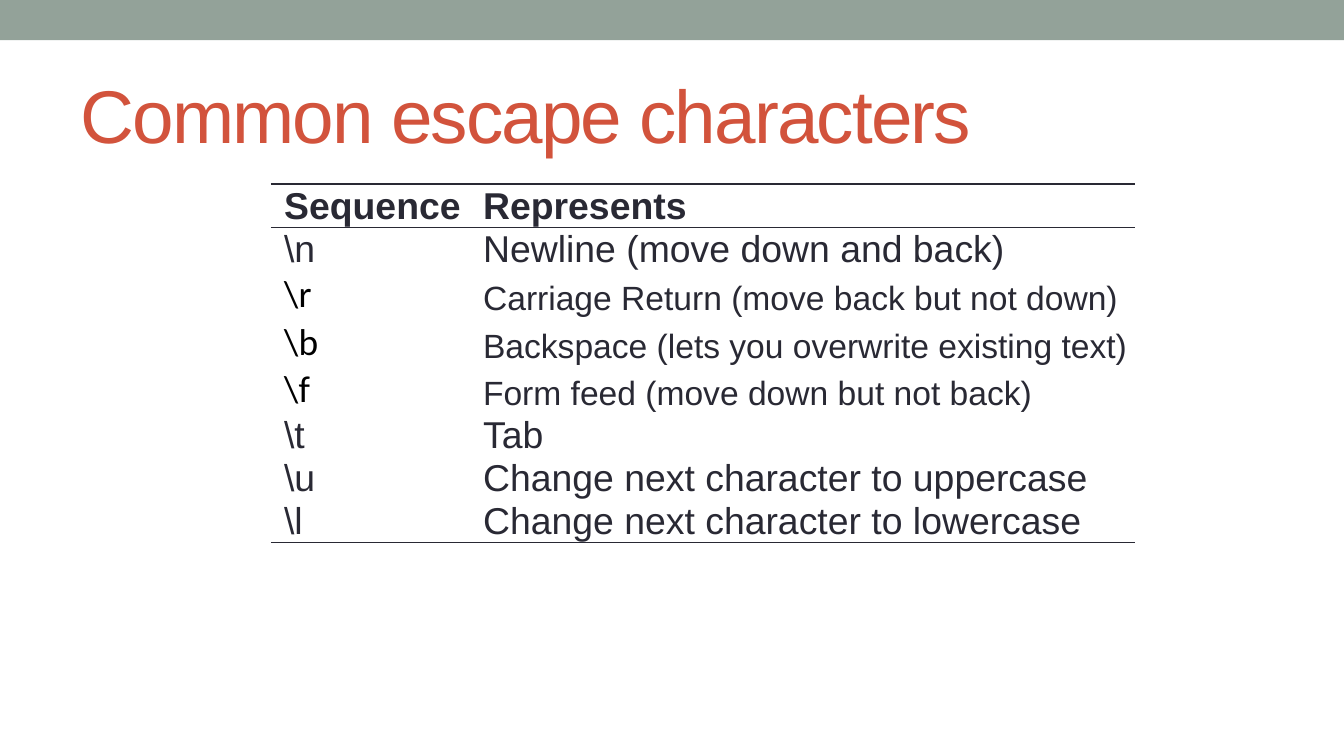
from lxml import etree
from pptx import Presentation
from pptx.dml.color import RGBColor
from pptx.enum import shapes, text
from pptx.oxml import ns
from pptx.util import Cm, Pt

SAGE = RGBColor(0x93, 0xA2, 0x99)
RUST = RGBColor(0xD2, 0x53, 0x3C)
INK = RGBColor(0x29, 0x29, 0x34)
BLACK = RGBColor(0, 0, 0)

NO_STYLE = "{2D5ABB26-0587-4C30-8999-92F81FD0307C}"
HEADINGS = ("Sequence", "Represents")
ESCAPES = [
    (r"\n", "Newline (move down and back)"),
    (r"\r", "Carriage Return (move back but not down)"),
    (r"\b", "Backspace (lets you overwrite existing text)"),
    (r"\f", "Form feed (move down but not back)"),
    (r"\t", "Tab"),
    (r"\u", "Change next character to uppercase"),
    (r"\l", "Change next character to lowercase"),
]
# Sequences set in Calibri, with a smaller description
MINOR = {r"\r", r"\b", r"\f"}


def style(paragraph, size, color, face="Arial", bold=False):
    font = paragraph.font
    font.name, font.size, font.bold = face, Pt(size), bold
    font.color.rgb = color


def add_band(slide, left, top, width, height):
    band = slide.shapes.add_shape(
        shapes.MSO_SHAPE.RECTANGLE, left, top, width, height)
    band.shadow.inherit = False
    band.fill.solid()
    band.fill.fore_color.rgb = SAGE
    band.line.fill.background()


def place_title(slide, left, top, width, height):
    title = slide.shapes.title
    title.left, title.top, title.width, title.height = left, top, width, height
    frame = title.text_frame
    frame.text = "Common escape characters"
    frame.vertical_anchor = text.MSO_ANCHOR.MIDDLE
    heading = frame.paragraphs[0]
    heading.alignment = text.PP_ALIGN.LEFT
    style(heading, 40, RUST)
    # Tighten the letters by one point
    heading.runs[0].font._element.set("spc", "-100")


def rule(cell, edge):
    """Draw a 1 pt border on one edge of a cell: lnT or lnB."""
    line = etree.SubElement(
        cell._tc.get_or_add_tcPr(), ns.qn(f"a:{edge}"), w=str(Pt(1)))
    fill = etree.SubElement(line, ns.qn("a:solidFill"))
    etree.SubElement(fill, ns.qn("a:srgbClr"), val=str(INK))


def fill_cell(cell, words, edges, **look):
    cell.text = words
    cell.vertical_anchor = text.MSO_ANCHOR.BOTTOM
    cell.margin_left, cell.margin_top = Cm(0.25), Cm(0.03)
    cell.margin_right = cell.margin_bottom = 0
    style(cell.text_frame.paragraphs[0], **look)
    for edge in edges:
        rule(cell, edge)
    cell.fill.background()


def add_escape_table(slide, left, top, column_widths, row_height):
    rows = [HEADINGS, *ESCAPES]
    table = slide.shapes.add_table(
        len(rows), len(HEADINGS), left, top,
        sum(column_widths), row_height * len(rows)).table
    table.horz_banding = False
    table._tbl.tblPr.find(ns.qn("a:tableStyleId")).text = NO_STYLE
    for column, width in zip(table.columns, column_widths):
        column.width = width

    for index, (sequence, meaning) in enumerate(rows):
        # Rules above and below the headings, and below the last row
        edges = {0: ("lnT", "lnB"), len(rows) - 1: ("lnB",)}.get(index, ())
        sequence_look = meaning_look = dict(size=20, color=INK, bold=index == 0)
        if sequence in MINOR:
            sequence_look = dict(size=20, color=BLACK, face="Calibri")
            meaning_look = dict(size=18, color=INK)
        fill_cell(table.cell(index, 0), sequence, edges, **sequence_look)
        fill_cell(table.cell(index, 1), meaning, edges, **meaning_look)


def main():
    deck = Presentation()
    deck.slide_width, deck.slide_height = Cm(25.4), Cm(14.29)
    slide = deck.slides.add_slide(deck.slide_layouts.get_by_name("Title Only"))
    add_band(slide, 0, 0, deck.slide_width, Cm(0.76))
    place_title(slide, Cm(1.27), Cm(1.12), Cm(22.86), Cm(2.06))
    add_escape_table(slide, Cm(5.12), Cm(3.48), (Cm(3.76), Cm(12.57)), Cm(0.64))
    deck.save("out.pptx")


if __name__ == "__main__":
    main()
